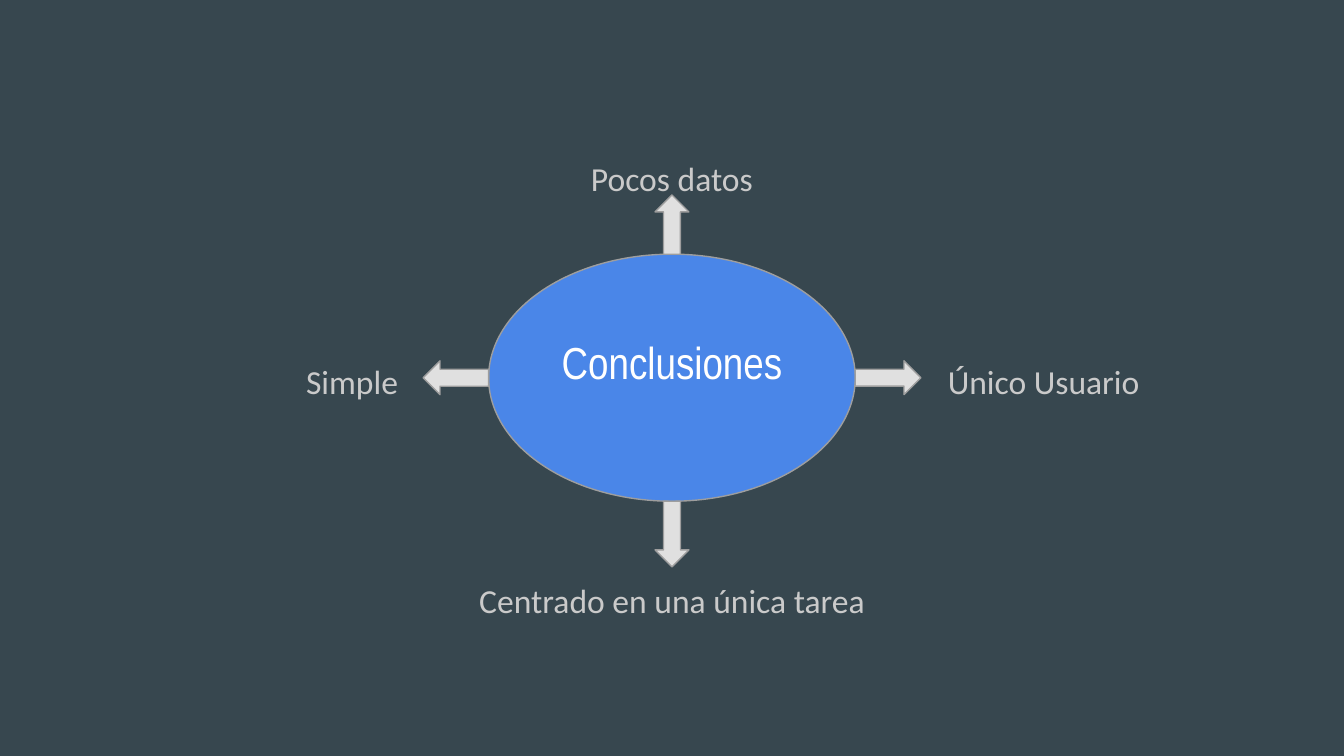
import math
from typing import NamedTuple

from pptx import Presentation
from pptx.dml.color import RGBColor
from pptx.enum import shapes, text
from pptx.util import Cm, Pt


class Conclusion(NamedTuple):
    wording: str
    left: float
    top: float
    width: float
    height: float
    angle: int
    arrow_length: float


CENTER_X, CENTER_Y = 12.7, 7.14
HUB_WIDTH, HUB_HEIGHT = 6.93, 4.67
ARROW_THICKNESS = 0.64
INSET = 0.25

CONCLUSIONS = [
    Conclusion("Único Usuario", 17.4, 6.58, 4.65, 1.52, 0, 1.24),
    Conclusion("Simple", 5.31, 6.58, 2.69, 1.12, 180, 1.24),
    Conclusion("Pocos datos", 9.17, 2.74, 7.06, 0.94, 270, 1.12),
    Conclusion("Centrado en una única tarea", 8.64, 10.72, 8.13, 2.51, 90, 1.24),
]


def color(hex_value: str) -> RGBColor:
    return RGBColor.from_string(hex_value)


def write(shape, wording: str, size: int, font: str, ink: str,
          anchor=text.MSO_ANCHOR.TOP, bottom: float = INSET) -> None:
    frame_format = {
        "word_wrap": True,
        "vertical_anchor": anchor,
        "margin_left": Cm(INSET),
        "margin_right": Cm(INSET),
        "margin_top": Cm(INSET),
        "margin_bottom": Cm(bottom),
    }
    for name, value in frame_format.items():
        setattr(shape.text_frame, name, value)
    paragraph = shape.text_frame.paragraphs[0]
    paragraph.alignment = text.PP_ALIGN.CENTER
    run = paragraph.add_run()
    for name, value in {"size": Pt(size), "name": font}.items():
        setattr(run.font, name, value)
    run.font.color.rgb = color(ink)
    run.text = wording


def draw_shape(slide, preset, x: float, y: float, width: float, height: float, fill: str):
    shape = slide.shapes.add_shape(
        preset, Cm(x - width / 2), Cm(y - height / 2), Cm(width), Cm(height))
    shape.shadow.inherit = False
    shape.fill.solid()
    shape.fill.fore_color.rgb = color(fill)
    shape.line.color.rgb = color("9E9E9E")
    shape.line.width = Pt(0.75)
    return shape


def draw_conclusion(slide, item: Conclusion) -> None:
    turn = math.radians(item.angle)
    arrow = draw_shape(
        slide, shapes.MSO_SHAPE.RIGHT_ARROW,
        CENTER_X + math.cos(turn) * (HUB_WIDTH + item.arrow_length) / 2,
        CENTER_Y + math.sin(turn) * (HUB_HEIGHT + item.arrow_length) / 2,
        item.arrow_length, ARROW_THICKNESS, "E0E0E0")
    arrow.rotation = item.angle
    label = slide.shapes.add_textbox(
        Cm(item.left), Cm(item.top), Cm(item.width), Cm(item.height))
    write(label, item.wording, 18, "Calibri", "CACACA")


def main() -> None:
    deck = Presentation()
    deck.slide_width, deck.slide_height = Cm(25.4), Cm(14.29)
    slide = deck.slides.add_slide(deck.slide_layouts[6])
    slide.background.fill.solid()
    slide.background.fill.fore_color.rgb = color("37474F")

    hub = draw_shape(slide, shapes.MSO_SHAPE.OVAL, CENTER_X, CENTER_Y,
                     HUB_WIDTH, HUB_HEIGHT, "4A86E8")
    write(hub, "Conclusiones", 24, "Arial Narrow", "FFFFFF",
          text.MSO_ANCHOR.MIDDLE, bottom=0.85)
    for item in CONCLUSIONS:
        draw_conclusion(slide, item)
    deck.save("out.pptx")


if __name__ == "__main__":
    main()
